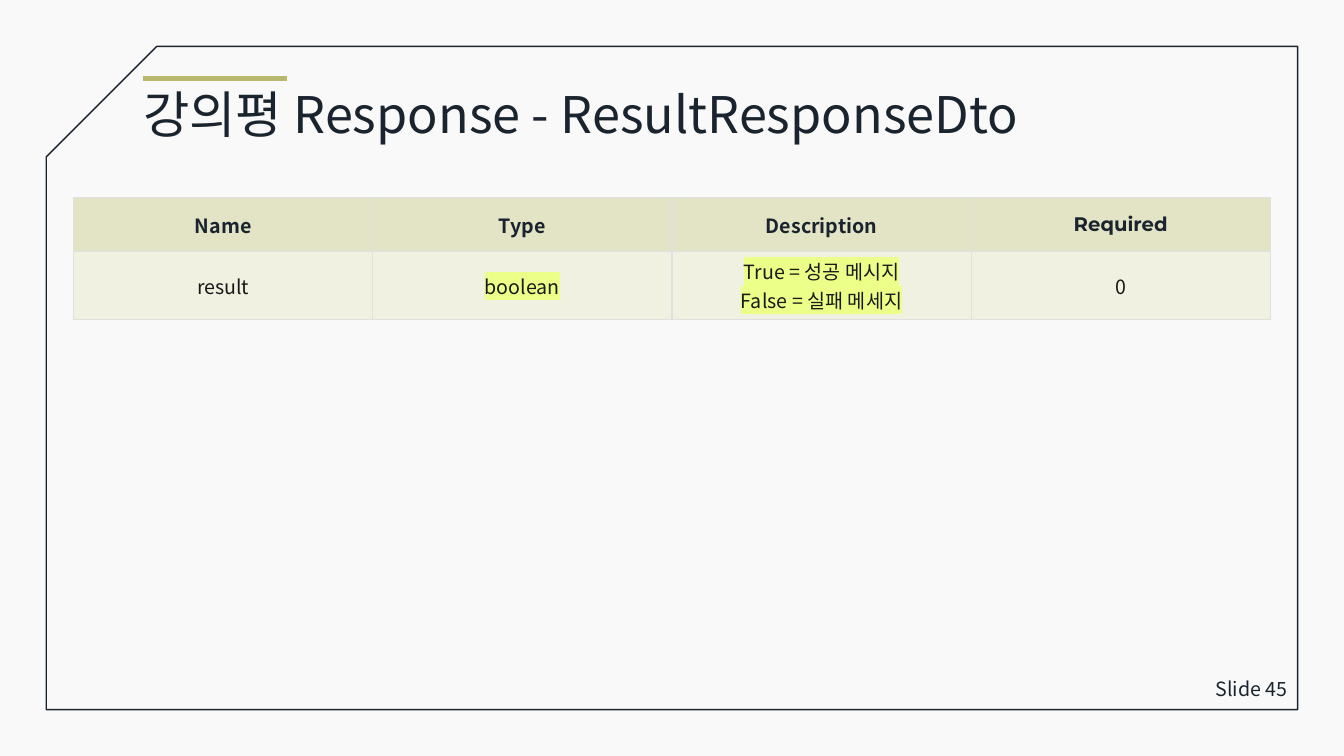
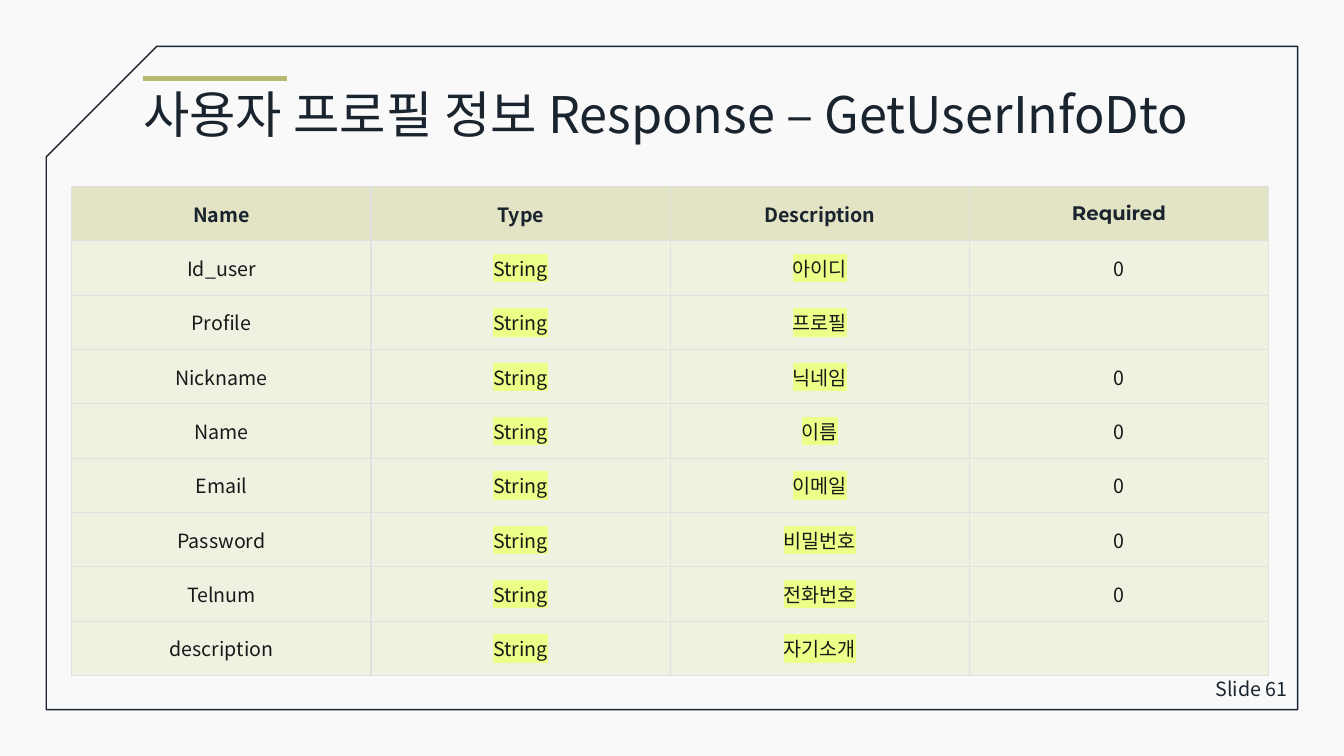
from dataclasses import dataclass
from typing import Any

import pptx
import pptx.dml.color
import pptx.enum.shapes
import pptx.enum.text
import pptx.oxml.ns
import pptx.util
from lxml import etree

# Shared look
INK, BODY_INK, ACCENT = "1A242E", "191919", "B8B96F"
PAPER, HEADER_FILL, ROW_FILL = "F9F9F9", "E3E3C5", "F1F1E2"
GRID_LINE, HIGHLIGHT = "E0E0E0", "ECFF88"
TEXT_FONT, LATIN_FONT = "Noto Sans CJK KR", "Montserrat"

SLIDE_WIDTH = pptx.util.Inches(13.33)
SLIDE_HEIGHT = pptx.util.Inches(7.5)
CENTER = pptx.enum.text.PP_ALIGN.CENTER
MIDDLE = pptx.enum.text.MSO_ANCHOR.MIDDLE

HEADINGS = ("Name", "Type", "Description", "Required")
HIGHLIGHTED = ("Type", "Description")
TABLE_WIDTH, ROW_HEIGHT, TWO_LINE_HEIGHT = 89.05, 7.19, 8.95


@dataclass(frozen=True)
class Box:
    """Place and size in percent of the slide's width and height."""
    left: float
    top: float
    width: float
    height: float

    def emu(self) -> tuple[int, int, int, int]:
        return (across(self.left), down(self.top),
                across(self.width), down(self.height))


@dataclass(frozen=True)
class ResponsePage:
    number: int
    title: str
    table_left: float
    table_top: float
    fields: tuple[tuple[str, str, str, str], ...]


FRAME = Box(3.45, 6.13, 93.1, 87.73)
TITLE = Box(9.9, 11.2, 86.65, 9.33)
NUMBER = Box(86.75, 88.4, 9.8, 5.47)
ACCENT_BAR = Box(10.65, 10.4, 10.73, 0)

PAGES = (
    ResponsePage(45, "강의평 Response - ResultResponseDto", 5.48, 26.13, (
        ("result", "boolean", "True = 성공 메시지\nFalse = 실패 메세지", "0"),
    )),
    ResponsePage(61, "사용자 프로필 정보 Response – GetUserInfoDto", 5.35, 24.67, (
        ("Id_user", "String", "아이디", "0"),
        ("Profile", "String", "프로필", ""),
        ("Nickname", "String", "닉네임", "0"),
        ("Name", "String", "이름", "0"),
        ("Email", "String", "이메일", "0"),
        ("Password", "String", "비밀번호", "0"),
        ("Telnum", "String", "전화번호", "0"),
        ("description", "String", "자기소개", ""),
    )),
)


# Lengths, colours and text
def across(percent: float) -> int:
    return round(SLIDE_WIDTH * percent / 100)


def down(percent: float) -> int:
    return round(SLIDE_HEIGHT * percent / 100)


def color(value: str) -> pptx.dml.color.RGBColor:
    return pptx.dml.color.RGBColor.from_string(value)


def add_xml(parent: Any, tag: str, **attributes: str) -> Any:
    return etree.SubElement(parent, pptx.oxml.ns.qn(tag), attributes)


def apply(target: Any, formats: dict[str, Any]) -> None:
    for attribute, value in formats.items():
        setattr(target, attribute, value)


def write(paragraph: Any, text: str, size: float, ink: str = INK,
          font: str = TEXT_FONT, bold: bool = False, highlight: str = "") -> None:
    run = paragraph.add_run()
    run.text = text
    apply(run.font, {"size": pptx.util.Pt(size), "bold": bold})
    run.font.color.rgb = color(ink)
    properties = run.font._element
    if highlight:
        marker = add_xml(properties, "a:highlight")
        add_xml(marker, "a:srgbClr", val=highlight)
    for script in ("a:latin", "a:ea"):
        add_xml(properties, script, typeface=font)


# Parts on every slide
def draw_frame(slide: Any) -> None:
    frame = slide.shapes.add_shape(
        pptx.enum.shapes.MSO_SHAPE.SNIP_1_RECTANGLE, *FRAME.emu())
    frame.shadow.inherit = False
    frame.fill.background()
    frame.line.color.rgb = color(INK)
    frame.line.width = pptx.util.Pt(1)
    frame._element.spPr.xfrm.set("flipH", "1")

    left, top, width, _ = ACCENT_BAR.emu()
    accent = slide.shapes.add_connector(
        pptx.enum.shapes.MSO_CONNECTOR.STRAIGHT, left, top, left + width, top)
    accent.line.color.rgb = color(ACCENT)
    accent.line.width = pptx.util.Pt(4)
    add_xml(accent._element.spPr, "a:effectLst")


def draw_title(slide: Any, text: str) -> None:
    title = slide.shapes.title
    apply(title, dict(zip(("left", "top", "width", "height"), TITLE.emu())))
    apply(title.text_frame, {
        "word_wrap": True,
        "auto_size": pptx.enum.text.MSO_AUTO_SIZE.NONE,
        "vertical_anchor": pptx.enum.text.MSO_ANCHOR.TOP,
        "margin_top": pptx.util.Inches(0.05),
        "margin_bottom": 0,
    })
    paragraph = title.text_frame.paragraphs[0]
    apply(paragraph, {"alignment": pptx.enum.text.PP_ALIGN.LEFT,
                      "line_spacing": 0.9})
    write(paragraph, text, 36)


def draw_number(slide: Any, number: int) -> None:
    label = slide.shapes.add_textbox(*NUMBER.emu()).text_frame
    apply(label, {"word_wrap": True, "vertical_anchor": MIDDLE})
    label.paragraphs[0].alignment = pptx.enum.text.PP_ALIGN.RIGHT
    write(label.paragraphs[0], f"Slide {number}", 14)


# Field table
def row_height(row: tuple[str, ...]) -> float:
    return TWO_LINE_HEIGHT if any("\n" in text for text in row) else ROW_HEIGHT


def format_cell(cell: Any, fill: str) -> None:
    cell.vertical_anchor = MIDDLE
    properties = cell._tc.get_or_add_tcPr()
    for side in ("a:lnL", "a:lnR", "a:lnT", "a:lnB"):
        border = add_xml(properties, side, w=str(pptx.util.Pt(1)))
        add_xml(add_xml(border, "a:solidFill"), "a:srgbClr", val=GRID_LINE)
    cell.fill.solid()
    cell.fill.fore_color.rgb = color(fill)


def text_format(heading: str, is_header: bool) -> dict[str, Any]:
    if is_header:
        font = LATIN_FONT if heading == "Required" else TEXT_FONT
        return {"bold": True, "font": font}
    return {"ink": BODY_INK,
            "highlight": HIGHLIGHT if heading in HIGHLIGHTED else ""}


def draw_table(slide: Any, page: ResponsePage) -> None:
    rows = (HEADINGS, *page.fields)
    heights = [row_height(row) for row in rows]
    place = Box(page.table_left, page.table_top, TABLE_WIDTH, sum(heights))
    table = slide.shapes.add_table(len(rows), len(HEADINGS), *place.emu()).table
    table.horz_banding = False
    for row_index, row in enumerate(rows):
        is_header = row_index == 0
        table.rows[row_index].height = down(heights[row_index])
        for column, (heading, text) in enumerate(zip(HEADINGS, row)):
            cell = table.cell(row_index, column)
            format_cell(cell, HEADER_FILL if is_header else ROW_FILL)
            if not text:
                continue
            for line_index, line in enumerate(text.split("\n")):
                frame = cell.text_frame
                paragraph = frame.add_paragraph() if line_index else frame.paragraphs[0]
                paragraph.alignment = CENTER
                write(paragraph, line, 14, **text_format(heading, is_header))


def main() -> None:
    deck = pptx.Presentation()
    apply(deck, {"slide_width": SLIDE_WIDTH, "slide_height": SLIDE_HEIGHT})
    background = deck.slide_master.background.fill
    background.solid()
    background.fore_color.rgb = color(PAPER)
    title_only = deck.slide_layouts[5]
    for page in PAGES:
        slide = deck.slides.add_slide(title_only)
        draw_frame(slide)
        draw_title(slide, page.title)
        draw_number(slide, page.number)
        draw_table(slide, page)
    deck.save("out.pptx")


if __name__ == "__main__":
    main()
